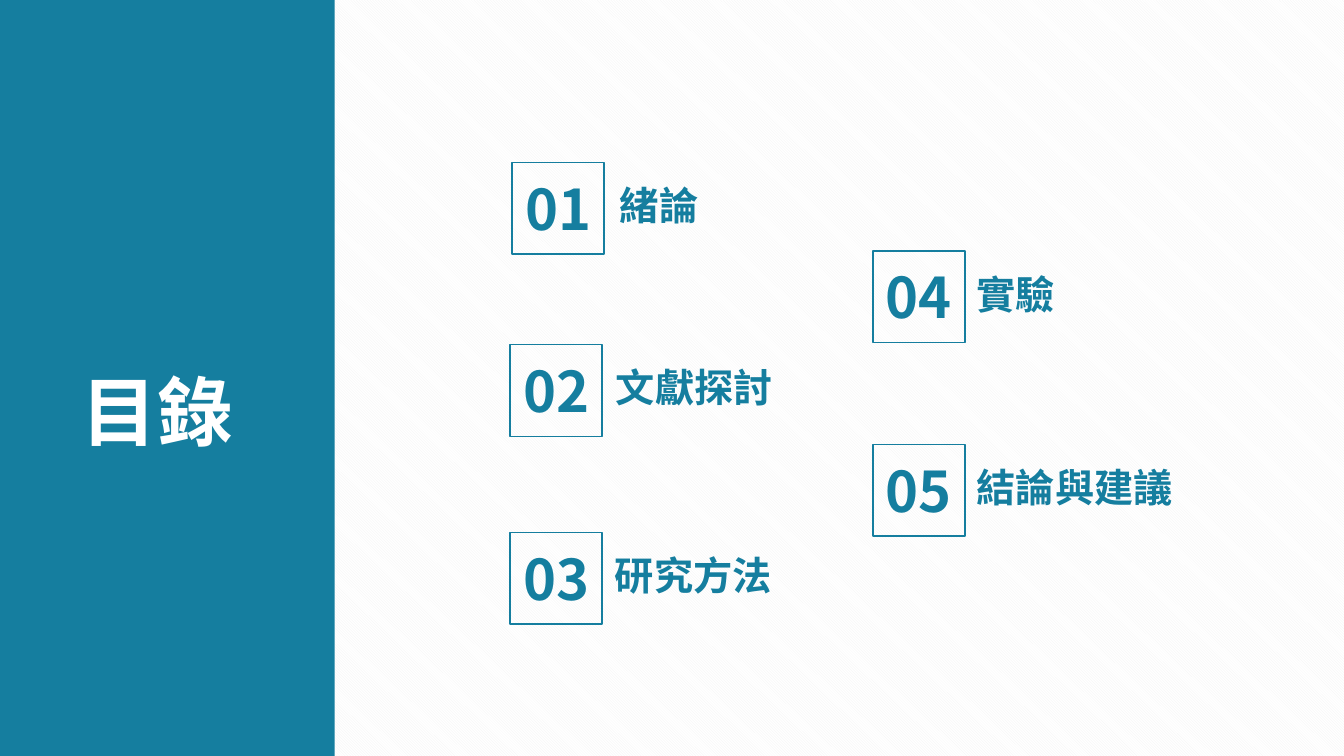
from lxml import etree
from pptx import Presentation
from pptx.dml.color import RGBColor
from pptx.enum import dml, shapes, text
from pptx.oxml.ns import qn
from pptx.util import Inches, Pt

TEAL = RGBColor(0x15, 0x7E, 0x9F)
WHITE = RGBColor(0xFF, 0xFF, 0xFF)
GREY = RGBColor(0xF2, 0xF2, 0xF2)
FONT = "Noto Sans CJK SC"
SIDE = 0.91

deck = Presentation()
deck.slide_width, deck.slide_height = Inches(13.33), Inches(7.5)
slide = deck.slides.add_slide(deck.slide_layouts[6])

back = slide.background.fill
back.patterned()
back.pattern = dml.MSO_PATTERN.DARK_DOWNWARD_DIAGONAL
back.fore_color.rgb = GREY
back.back_color.rgb = WHITE


def add_rect(x, y, w, h):
    rect = slide.shapes.add_shape(
        shapes.MSO_SHAPE.RECTANGLE, Inches(x), Inches(y), Inches(w), Inches(h))
    rect.shadow.inherit = False
    return rect


def add_text(words, x, y, w, h, size, color=TEAL, wrap=True,
             align=text.PP_ALIGN.LEFT):
    box = slide.shapes.add_textbox(Inches(x), Inches(y), Inches(w), Inches(h))
    frame = box.text_frame
    frame.word_wrap = wrap
    frame.auto_size = text.MSO_AUTO_SIZE.SHAPE_TO_FIT_TEXT
    para = frame.paragraphs[0]
    para.alignment = align
    run = para.add_run()
    run.text = words
    font = run.font
    font.size, font.bold, font.name = Pt(size), True, FONT
    font.color.rgb = color
    # East Asian glyphs take their typeface from a:ea
    etree.SubElement(run._r.get_or_add_rPr(), qn("a:ea"), typeface=FONT)


panel = add_rect(0, 0, 3.32, 7.5)
panel.fill.solid()
panel.fill.fore_color.rgb = TEAL
panel.line.fill.background()
add_text("目錄", 0.71, 3.57, 1.72, 1.92, 54, WHITE, wrap=False)

# chapter, left and top of its square, left of its label
chapters = [
    ("緒論", 5.08, 1.61, 6.05),
    ("文獻探討", 5.06, 3.42, 6.01),
    ("研究方法", 5.06, 5.28, 6),
    ("實驗", 8.66, 2.49, 9.59),
    ("結論與建議", 8.66, 4.41, 9.59),
]
for num, (name, x, y, label) in enumerate(chapters, 1):
    add_text(name, label, y + 0.14, 2.62, 0.57, 28)
    add_text(f"{num:02}", x, y + 0.07, SIDE, 0.77, 40,
             align=text.PP_ALIGN.CENTER)
    square = add_rect(x, y, SIDE, SIDE)
    square.fill.background()
    square.line.color.rgb = TEAL
    square.line.width = Pt(1)

deck.save("out.pptx")
